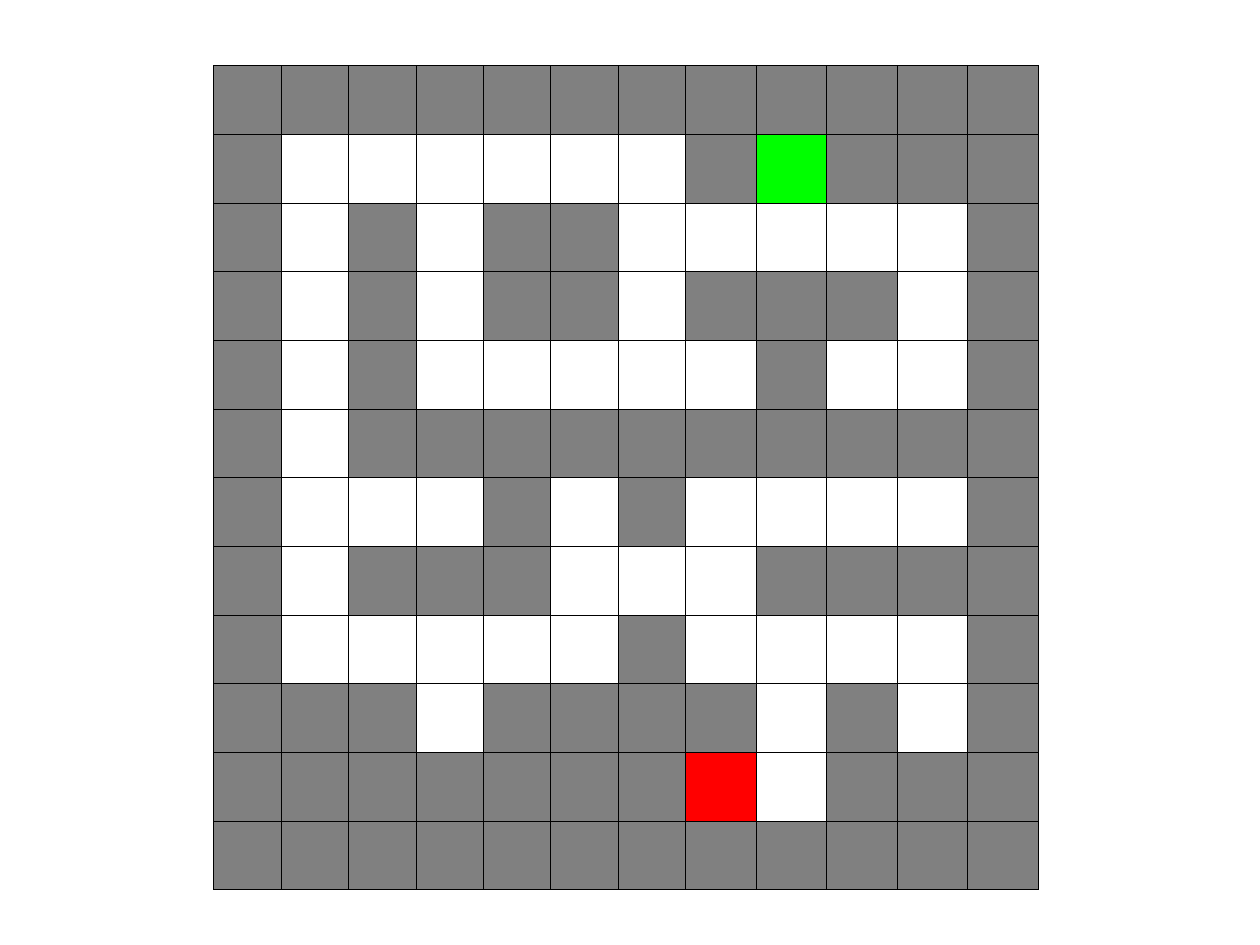
import pptx
import pptx.dml.color
import pptx.oxml
import pptx.oxml.ns
import pptx.util

Cm = pptx.util.Cm

# Maze plan: wall, open floor, start and end
MAZE = """
############
#......#S###
#.#.##.....#
#.#.##.###.#
#.#.....#..#
#.##########
#...#.#....#
#.###...####
#.....#....#
###.####.#.#
#######E.###
############
""".split()
FILLS = {"#": "808080", ".": "FFFFFF", "S": "00FF00", "E": "FF0000"}


def color(code):
    return pptx.dml.color.RGBColor.from_string(code)


class Page:
    line = "000000"
    width = pptx.util.Pt(0.23)

    def __init__(self, slide):
        self.slide = slide

    def border(self, cell):
        """Draw a thin line on all four sides of a cell."""
        props = cell._tc.get_or_add_tcPr()
        for spot, side in enumerate("LRTB"):
            props.insert(spot, pptx.oxml.parse_xml(
                f'<a:ln{side} {pptx.oxml.ns.nsdecls("a")} w="{self.width}">'
                f'<a:solidFill><a:srgbClr val="{self.line}"/></a:solidFill>'
                f'</a:ln{side}>'))

    def grid(self, plan, fills, left, top, wides, high):
        """Add a table whose cells are filled by the marks of the plan."""
        frame = self.slide.shapes.add_table(
            len(plan), len(wides), Cm(left), Cm(top),
            Cm(sum(wides)), Cm(high * len(plan)))
        table = frame.table
        table.first_row = table.horz_banding = False
        for column, wide in zip(table.columns, wides):
            column.width = Cm(wide)
        for row, marks in zip(table.rows, plan):
            row.height = Cm(high)
            for cell, mark in zip(row.cells, marks):
                cell.fill.solid()
                cell.fill.fore_color.rgb = color(fills[mark])
                self.border(cell)


# Slide
deck = pptx.Presentation()
deck.slide_width, deck.slide_height = Cm(25.4), Cm(19.05)
page = Page(deck.slides.add_slide(deck.slide_layouts[6]))

# Maze: the five columns on the right are slightly wider
page.grid(MAZE, FILLS, left=4.3, top=1.32,
          wides=[1.36] * 7 + [1.42] * 5, high=16.61 / len(MAZE))

deck.save("out.pptx")
